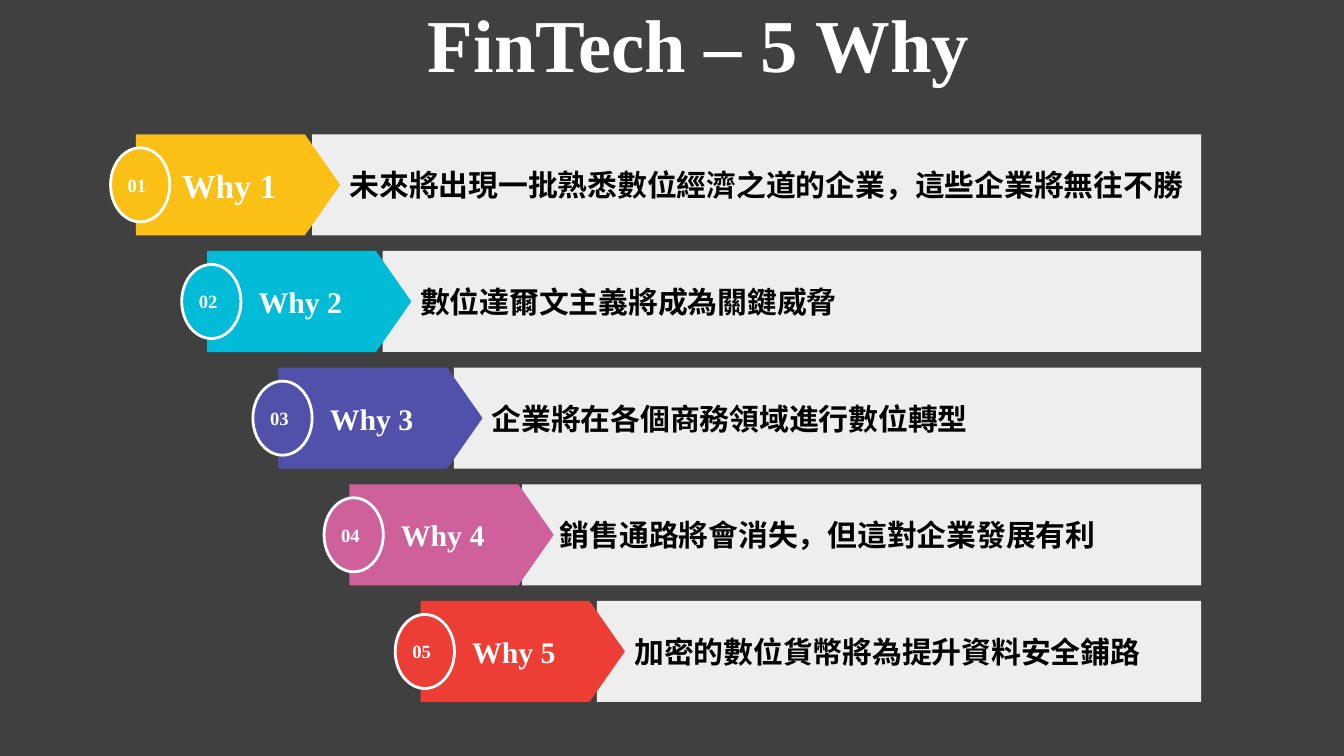
from dataclasses import dataclass

from lxml import etree
from pptx import Presentation
from pptx import util as u
from pptx.dml.color import RGBColor
from pptx.enum import shapes, text
from pptx.oxml import ns

BACKGROUND = RGBColor(0x40, 0x40, 0x40)
BAR_GREY = RGBColor(0xEE, 0xEE, 0xEE)
WHITE = RGBColor(0xFF, 0xFF, 0xFF)
BLACK = RGBColor(0x00, 0x00, 0x00)
YELLOW = RGBColor(0xFA, 0xC0, 0x16)
CYAN = RGBColor(0x02, 0xBB, 0xD6)
INDIGO = RGBColor(0x51, 0x51, 0xAB)
PINK = RGBColor(0xCE, 0x60, 0x9C)
RED = RGBColor(0xEC, 0x3E, 0x35)

LATIN_FONT = "Times New Roman"
CHINESE_FONT = "Noto Sans CJK SC"

FIRST_LEFT, STEP_RIGHT = 2.57, 1.345
FIRST_TOP, STEP_DOWN = 2.54, 2.205
ROW_HEIGHT = 1.91
ARROW_WIDTH = 3.86
BAR_RIGHT = 22.7
BADGE_WIDTH, BADGE_HEIGHT = 1.12, 1.4
BADGE_OVERHANG = 0.48
INSET, BAR_INSET = 0.16, 0.71


@dataclass
class Reason:
    statement: str
    color: RGBColor
    bar_left: float
    label_size: int = 16


@dataclass
class Box:
    left: float
    top: float
    width: float
    height: float

    def lengths(self) -> list[u.Length]:
        return [u.Cm(side) for side in (self.left, self.top, self.width, self.height)]


REASONS = [
    Reason("未來將出現一批熟悉數位經濟之道的企業，這些企業將無往不勝", YELLOW, 5.9, 18),
    Reason("數位達爾文主義將成為關鍵威脅", CYAN, 7.23),
    Reason("企業將在各個商務領域進行數位轉型", INDIGO, 8.58),
    Reason("銷售通路將會消失，但這對企業發展有利", PINK, 9.87),
    Reason("加密的數位貨幣將為提升資料安全鋪路", RED, 11.28),
]


def write(shape, words: str, size: int, color: RGBColor = WHITE,
          font_name: str = LATIN_FONT, centered: bool = False) -> None:
    frame = shape.text_frame
    frame.word_wrap = True
    frame.vertical_anchor = text.MSO_ANCHOR.MIDDLE
    paragraph = frame.paragraphs[0]
    paragraph.alignment = text.PP_ALIGN.CENTER if centered else text.PP_ALIGN.LEFT
    run = paragraph.add_run()
    run.text = words
    run.font.size = u.Pt(size)
    run.font.bold = True
    run.font.color.rgb = color
    run.font.name = font_name
    properties = run._r.get_or_add_rPr()
    etree.SubElement(properties, ns.qn("a:ea"), typeface=font_name)


def add_filled_shape(slide, kind: shapes.MSO_SHAPE, box: Box, color: RGBColor,
                     left_inset: float = INSET):
    shape = slide.shapes.add_shape(kind, *box.lengths())
    shape.shadow.inherit = False
    shape.fill.solid()
    shape.fill.fore_color.rgb = color
    shape.line.fill.background()
    frame = shape.text_frame
    frame.margin_left = u.Cm(left_inset)
    frame.margin_right = frame.margin_top = frame.margin_bottom = u.Cm(INSET)
    return shape


def add_reason(slide, index: int, reason: Reason) -> None:
    left = FIRST_LEFT + index * STEP_RIGHT
    top = FIRST_TOP + index * STEP_DOWN
    number = index + 1

    bar_box = Box(reason.bar_left, top, BAR_RIGHT - reason.bar_left, ROW_HEIGHT)
    bar = add_filled_shape(slide, shapes.MSO_SHAPE.RECTANGLE, bar_box, BAR_GREY, BAR_INSET)
    write(bar, reason.statement, 16, BLACK, CHINESE_FONT)

    arrow_box = Box(left, top, ARROW_WIDTH, ROW_HEIGHT)
    arrow = add_filled_shape(slide, shapes.MSO_SHAPE.PENTAGON, arrow_box, reason.color)
    arrow.adjustments[0] = 0.35
    write(arrow, f"Why {number}", reason.label_size, centered=True)

    badge_box = Box(left - BADGE_OVERHANG, top + (ROW_HEIGHT - BADGE_HEIGHT) / 2,
                    BADGE_WIDTH, BADGE_HEIGHT)
    badge = add_filled_shape(slide, shapes.MSO_SHAPE.OVAL, badge_box, reason.color)
    badge.line.color.rgb = WHITE
    badge.line.width = u.Pt(1.5)
    write(badge, f"{number:02d}", 10)


def main() -> None:
    presentation = Presentation()
    presentation.slide_width = u.Cm(25.4)
    presentation.slide_height = u.Cm(14.29)
    slide = presentation.slides.add_slide(presentation.slide_layouts[6])
    slide.background.fill.solid()
    slide.background.fill.fore_color.rgb = BACKGROUND

    for index, reason in enumerate(REASONS):
        add_reason(slide, index, reason)

    title = slide.shapes.add_textbox(*Box(0.5, 0, 25.4, 1.6).lengths())
    write(title, "FinTech – 5 Why", 40, centered=True)

    presentation.save("out.pptx")


if __name__ == "__main__":
    main()
